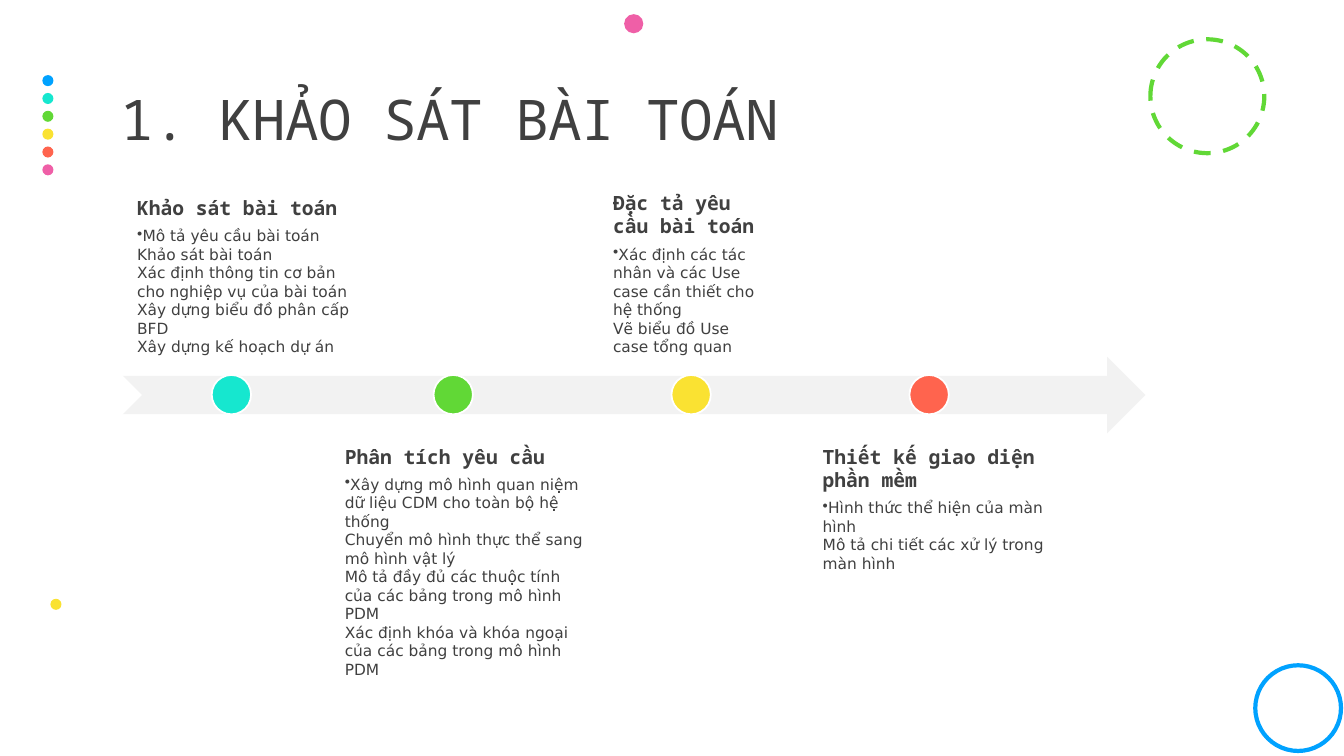
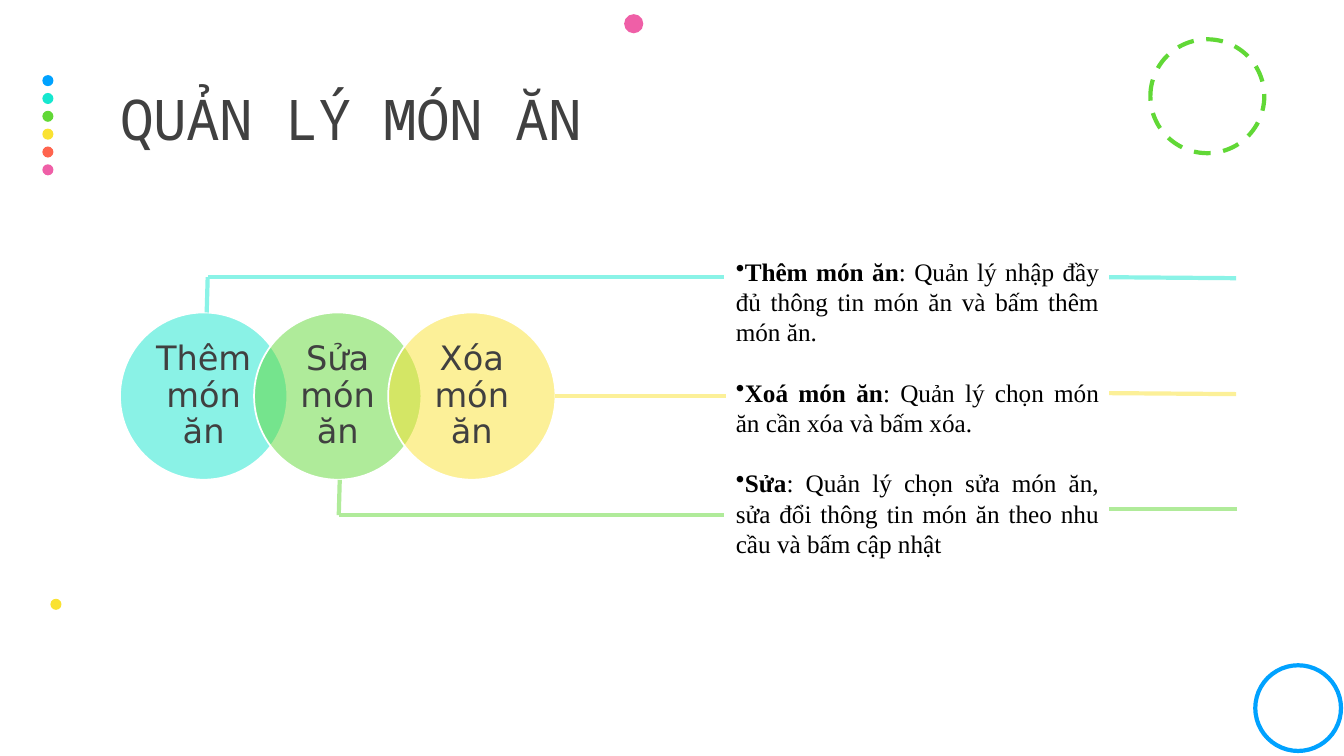
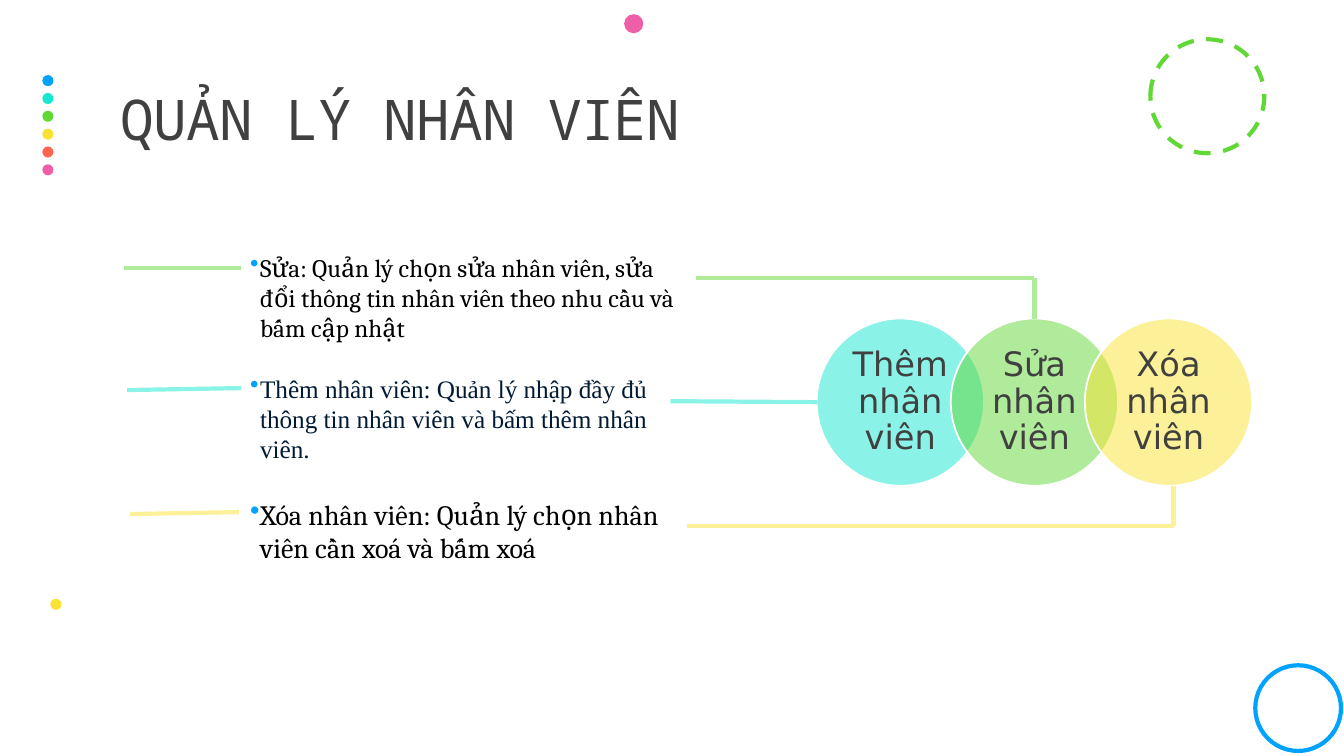
from dataclasses import dataclass
from itertools import pairwise

from lxml.etree import SubElement
from pptx import Presentation
from pptx.dml.color import RGBColor as Rgb
from pptx.enum.dml import MSO_LINE_DASH_STYLE as Dash
from pptx.enum.shapes import MSO_CONNECTOR as Link, MSO_SHAPE as Preset
from pptx.enum.text import MSO_ANCHOR as Anchor, MSO_AUTO_SIZE as Fit, PP_ALIGN as Align
from pptx.oxml.ns import qn
from pptx.util import Inches, Pt


@dataclass(frozen=True)
class Theme:
    blue: str = "00A2FF"
    teal: str = "16E7CF"
    green: str = "61D836"
    yellow: str = "FAE232"
    coral: str = "FF644E"
    pink: str = "EF5FA7"
    pale_teal: str = "8AF3E7"
    pale_green: str = "B0EB9A"
    pale_yellow: str = "FCF098"
    band: str = "F2F2F2"
    white: str = "FFFFFF"
    ink: str = "404040"
    navy: str = "001A33"
    black: str = "000000"
    mono: str = "Noto Sans Mono"
    sans: str = "DejaVu Sans"
    times: str = "Times New Roman"
    cambria: str = "Cambria"
    title_size: int = 40
    circle_size: int = 24
    large_size: int = 20
    note_size: int = 18
    heading_size: int = 14
    detail_size: int = 11
    rule: float = 3
    outline: float = 1.25


theme = Theme()
deck = Presentation()
deck.slide_width, deck.slide_height = Inches(13.33), Inches(7.5)
ROWS = 75
CELL = deck.slide_height / ROWS


def draw(slide, preset, box, fill=None, line=None, weight=theme.outline, alpha=None):
    shape = slide.shapes.add_shape(preset, *(round(n * CELL) for n in box))
    shape.shadow.inherit = False
    if fill:
        shape.fill.solid()
        shape.fill.fore_color.rgb = Rgb.from_string(fill)
        if alpha:
            tint = shape.element.spPr.find(qn("a:solidFill"))[0]
            SubElement(tint, qn("a:alpha")).set("val", str(alpha * 1000))
    else:
        shape.fill.background()
    if line:
        shape.line.color.rgb = Rgb.from_string(line)
        shape.line.width = Pt(weight)
    else:
        shape.line.fill.background()
    return shape


def write(frame, text, face, size, colour, lead="", bullet=None, hang=0, after=0):
    paragraph = frame.add_paragraph() if frame.text else frame.paragraphs[0]
    if bullet:
        settings = paragraph._p.get_or_add_pPr()
        settings.set("marL", str(round(hang * CELL)))
        settings.set("indent", str(round(-hang * CELL)))
        SubElement(SubElement(settings, qn("a:buClr")), qn("a:srgbClr")).set("val", bullet)
        SubElement(settings, qn("a:buChar")).set("char", "•")
    if lead:
        paragraph.add_run().text = lead
        paragraph.runs[0].font.bold = True
        paragraph.add_run().text = text
    else:
        paragraph.text = text
    paragraph.font.name, paragraph.font.size = face, Pt(size)
    paragraph.font.color.rgb = Rgb.from_string(colour)
    paragraph.space_after = Pt(after)
    return paragraph


title_only = deck.slide_layouts[5]
for unused in list(title_only.placeholders)[1:]:
    unused.element.getparent().remove(unused.element)

slides = []
for heading in ("1. KHẢO SÁT BÀI TOÁN", "QUẢN LÝ MÓN ĂN", "QUẢN LÝ NHÂN VIÊN"):
    slide = deck.slides.add_slide(title_only)
    title = slide.shapes.title
    title.left, title.top, title.width, title.height = (
        round(n * CELL) for n in (12, 4.6, 110, 15))
    frame = title.text_frame
    frame.margin_left = frame.margin_right = 0
    frame.vertical_anchor, frame.auto_size = Anchor.MIDDLE, Fit.NONE
    line = write(frame, heading, theme.mono, theme.title_size, theme.ink)
    line.alignment, line.line_spacing = Align.LEFT, 0.9
    line._p.pPr.find(qn("a:defRPr")).set("spc", "-50")
    slides.append(slide)
survey, dishes, staff = slides

rainbow = (theme.blue, theme.teal, theme.green, theme.yellow, theme.coral, theme.pink)
decorations = [draw(survey, Preset.OVAL, (4.2, 7.45 + 1.77 * row, 1.1, 1.1), colour)
               for row, colour in enumerate(rainbow)]
dashed_ring = draw(survey, Preset.OVAL, (114.1, 3.9, 11.3, 11.3),
                   line=theme.green, weight=theme.rule)
dashed_ring.line.dash_style = Dash.DASH
decorations += [
    dashed_ring,
    draw(survey, Preset.OVAL, (61.9, 1.4, 1.9, 1.9), theme.pink),
    draw(survey, Preset.OVAL, (5, 59.4, 1.1, 1.1), theme.yellow),
    draw(survey, Preset.OVAL, (124.5, 66, 8.5, 8.5), line=theme.blue, weight=theme.rule),
]
for decoration in decorations:
    title_only.shapes.element.append(decoration.element)

draw(survey, Preset.NOTCHED_RIGHT_ARROW, (12.2, 35.4, 101.4, 7.6), theme.band)
stages = (
    (theme.teal, 21, 12.5, 23.6, "Khảo sát bài toán",
     ("Mô tả yêu cầu bài toán", "Khảo sát bài toán",
      "Xác định thông tin cơ bản cho nghiệp vụ của bài toán",
      "Xây dựng biểu đồ phân cấp BFD", "Xây dựng kế hoạch dự án")),
    (theme.green, 43, 33.1, 26.4, "Phân tích yêu cầu",
     ("Xây dựng mô hình quan niệm dữ liệu CDM cho toàn bộ hệ thống",
      "Chuyển mô hình thực thể sang mô hình vật lý",
      "Mô tả đầy đủ các thuộc tính của các bảng trong mô hình PDM",
      "Xác định khóa và khóa ngoại của các bảng trong mô hình PDM")),
    (theme.yellow, 66.6, 59.7, 16.9, "Đặc tả yêu cầu bài toán",
     ("Xác định các tác nhân và các Use case cần thiết cho hệ thống",
      "Vẽ biểu đồ Use case tổng quan")),
    (theme.coral, 90.2, 80.5, 25, "Thiết kế giao diện phần mềm",
     ("Hình thức thể hiện của màn hình",
      "Mô tả chi tiết các xử lý trong màn hình")),
)
for order, (colour, marker, left, width, heading, details) in enumerate(stages):
    draw(survey, Preset.OVAL, (marker, 37.2, 3.9, 3.9), colour, theme.white)
    below = order % 2
    box = (left, 43 if below else 19.9, width, 16.5)
    frame = survey.shapes.add_textbox(*(round(n * CELL) for n in box)).text_frame
    frame.word_wrap = True
    frame.vertical_anchor = Anchor.TOP if below else Anchor.BOTTOM
    frame.margin_left = frame.margin_right = round(1.1 * CELL)
    frame.margin_top = frame.margin_bottom = round(1.1 * CELL)
    write(frame, heading, theme.mono, theme.heading_size, theme.ink, after=5).font.bold = True
    write(frame, "\v".join(details), theme.sans, theme.detail_size, theme.ink,
          bullet=theme.ink)

for slide, left, top, subject in ((dishes, 11.9, 31, "món ăn"), (staff, 81, 31.6, "nhân viên")):
    actions = (("Thêm", theme.teal), ("Sửa", theme.green), ("Xóa", theme.yellow))
    for column, (action, colour) in enumerate(actions):
        circle = draw(slide, Preset.OVAL, (left + 13.3 * column, top, 16.6, 16.6),
                      colour, theme.white, alpha=50)
        frame = circle.text_frame
        frame.word_wrap, frame.vertical_anchor = True, Anchor.MIDDLE
        frame.margin_left = frame.margin_right = round(0.5 * CELL)
        frame.margin_top = frame.margin_bottom = round(0.3 * CELL)
        label = write(frame, f"{action} {subject}", theme.sans, theme.circle_size, theme.ink)
        label.alignment, label.line_spacing = Align.CENTER, 0.9

dish_box = (72, 24.9, 38, 34.3)
frame = dishes.shapes.add_textbox(*(round(n * CELL) for n in dish_box)).text_frame
frame.word_wrap = True
for lead, text, after in (
    ("Thêm món ăn", ": Quản lý nhập đầy đủ thông tin món ăn và bấm thêm món ăn.", 21.6),
    ("Xoá món ăn", ": Quản lý chọn món ăn cần xóa và bấm xóa.", 21.6),
    ("Sửa", ": Quản lý chọn sửa món ăn, sửa đổi thông tin món ăn theo nhu cầu và bấm cập nhật", 0),
):
    write(frame, text, theme.times, theme.note_size, theme.black, lead=lead,
          bullet=theme.black, after=after).alignment = Align.JUSTIFY

staff_box = (24.8, 24.5, 43.3, 41.1)
frame = staff.shapes.add_textbox(*(round(n * CELL) for n in staff_box)).text_frame
frame.word_wrap = True
frame.margin_left = frame.margin_right = 0
for text, face, size, colour, after in (
    ("Sửa: Quản lý chọn sửa nhân viên, sửa đổi thông tin nhân viên theo nhu cầu và bấm cập nhật",
     theme.cambria, theme.note_size, theme.black, 21.6),
    ("Thêm nhân viên: Quản lý nhập đầy đủ thông tin nhân viên và bấm thêm nhân viên.",
     theme.times, theme.note_size, theme.navy, 24),
    ("Xóa nhân viên: Quản lý chọn nhân viên cần xoá và bấm xoá",
     theme.cambria, theme.large_size, theme.black, 0),
):
    write(frame, text, face, size, colour, bullet=theme.blue, hang=1, after=after)

routes = (
    (dishes, theme.pale_teal, ((71.8, 27.5), (20.6, 27.5), (20.5, 31))),
    (dishes, theme.pale_yellow, ((72, 39.3), (55, 39.3))),
    (dishes, theme.pale_green, ((71.8, 51.1), (33.6, 51.1), (33.7, 47.6))),
    (dishes, theme.pale_teal, ((122.6, 27.6), (110, 27.5))),
    (dishes, theme.pale_yellow, ((122.6, 39.1), (110, 39))),
    (dishes, theme.pale_green, ((122.7, 50.5), (110, 50.5))),
    (staff, theme.pale_teal, ((81.1, 39.9), (66.5, 39.8))),
    (staff, theme.pale_yellow, ((68.1, 52.2), (116.4, 52.2), (116.4, 48.2))),
    (staff, theme.pale_green, ((69, 27.6), (102.6, 27.6), (102.6, 31.6))),
    (staff, theme.pale_teal, ((23.9, 38.5), (12.6, 38.7))),
    (staff, theme.pale_yellow, ((23.7, 50.8), (12.9, 51))),
    (staff, theme.pale_green, ((23.9, 26.6), (12.3, 26.6))),
)
for slide, colour, corners in routes:
    for start, end in pairwise(corners):
        segment = slide.shapes.add_connector(
            Link.STRAIGHT, *(round(n * CELL) for n in start + end))
        segment.line.color.rgb = Rgb.from_string(colour)
        segment.line.width = Pt(theme.rule)
        SubElement(segment.element.spPr, qn("a:effectLst"))

deck.save("out.pptx")
